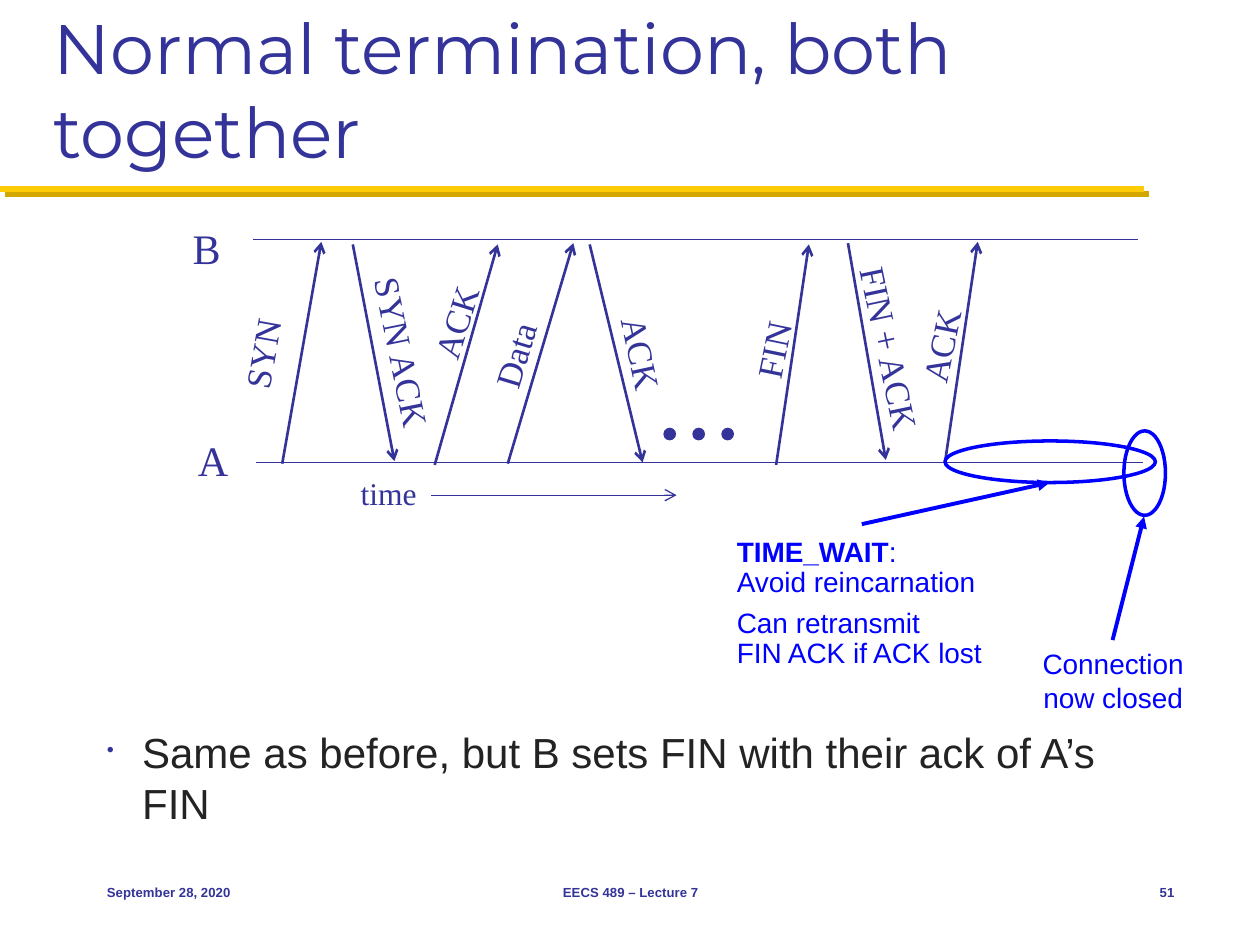
from dataclasses import dataclass
from lxml.etree import SubElement
from pptx import Presentation
from pptx.dml.color import RGBColor
from pptx.enum.shapes import MSO_CONNECTOR, MSO_SHAPE
from pptx.enum.text import MSO_ANCHOR, PP_ALIGN
from pptx.oxml.ns import qn
from pptx.util import Inches, Pt


@dataclass(frozen=True)
class Theme:
    navy: str = "333399"
    blue: str = "0000FF"
    ink: str = "232323"
    gold: str = "FFCB05"
    dark_gold: str = "D3A600"
    heading: str = "Montserrat"
    sans: str = "Arial"
    serif: str = "Times New Roman"
    title: float = 40
    body: float = 24
    message: float = 20
    time: float = 18
    note: float = 16
    footer: float = 7.5


class Diagram:
    def __init__(self, slide, theme):
        self.slide = slide
        self.theme = theme

    def text(self, box, paragraphs, size, font=None, color=None, align=PP_ALIGN.LEFT,
             anchor=MSO_ANCHOR.MIDDLE, wrap=False, angle=0, bold=False, before=0):
        label = self.slide.shapes.add_textbox(*map(Inches, box))
        label.rotation = angle
        frame = label.text_frame
        frame.word_wrap = wrap
        frame.vertical_anchor = anchor
        for index, content in enumerate(paragraphs):
            paragraph = frame.add_paragraph() if index else frame.paragraphs[0]
            paragraph.text = content
            paragraph.alignment = align
            paragraph.space_before = Pt(before)
            paragraph.font.name = font or self.theme.sans
            paragraph.font.size = Pt(size)
            paragraph.font.bold = bold
            paragraph.font.color.rgb = RGBColor.from_string(color or self.theme.navy)
        return frame.paragraphs

    def bullet(self, paragraph, indent, color):
        properties = paragraph._p.get_or_add_pPr()
        properties.set("marL", str(Inches(indent)))
        properties.set("indent", str(-Inches(indent)))
        mark_color = SubElement(properties, qn("a:buClr"))
        SubElement(mark_color, qn("a:srgbClr"), val=color)
        SubElement(properties, qn("a:buSzPct"), val="50000")
        SubElement(properties, qn("a:buChar"), char="•")
        defaults = properties.find(qn("a:defRPr"))
        if defaults is not None:
            properties.append(defaults)

    def line(self, start, end, color, width, head=None, shadow=None):
        stroke = self.slide.shapes.add_connector(
            MSO_CONNECTOR.STRAIGHT, *map(Inches, start + end))
        stroke.line.color.rgb = RGBColor.from_string(color)
        stroke.line.width = Pt(width)
        if head:
            SubElement(stroke.line._get_or_add_ln(), qn("a:tailEnd"), type=head)
        effects = SubElement(stroke._element.spPr, qn("a:effectLst"))
        if shadow:
            cast = SubElement(effects, qn("a:outerShdw"), dist=str(Pt(4.2)),
                              dir="2700000", algn="ctr", rotWithShape="0")
            SubElement(cast, qn("a:srgbClr"), val=shadow)

    def ellipse(self, box, color, width, filled=False):
        oval = self.slide.shapes.add_shape(MSO_SHAPE.OVAL, *map(Inches, box))
        oval.shadow.inherit = False
        oval.line.color.rgb = RGBColor.from_string(color)
        oval.line.width = Pt(width)
        if filled:
            oval.fill.solid()
            oval.fill.fore_color.rgb = RGBColor.from_string(color)
        else:
            oval.fill.background()

    def message(self, name, start, end, corner, width, angle):
        self.line(start, end, self.theme.navy, 1.5, "arrow")
        self.text((*corner, width, 0.43), [name], self.theme.message, self.theme.serif,
                  align=PP_ALIGN.CENTER, angle=angle)


presentation = Presentation()
presentation.slide_width = Inches(10)
presentation.slide_height = Inches(7.5)
theme = Theme()
diagram = Diagram(presentation.slides.add_slide(presentation.slide_layouts[6]), theme)

diagram.line((0, 1.5), (9.08, 1.5), theme.gold, 3.5, shadow=theme.dark_gold)
diagram.text((0.33, 0.17, 9.33, 1.25), ["Normal termination, both together"], theme.title,
             theme.heading, anchor=MSO_ANCHOR.BOTTOM, wrap=True)
summary = diagram.text(
    (0.75, 5.72, 8.67, 0.86),
    ["Same as before, but B sets FIN with their ack of A’s FIN"],
    theme.body, color=theme.ink, anchor=MSO_ANCHOR.TOP, wrap=True, before=4.8)
diagram.bullet(summary[0], 0.28, theme.navy)

messages = [
    ("SYN", (2.24, 3.68), (2.55, 1.92), (1.7, 2.59), 0.76, 280.1),
    ("SYN ACK", (2.8, 1.94), (3.13, 3.66), (2.49, 2.58), 1.41, 78.5),
    ("ACK", (3.45, 3.69), (3.95, 1.94), (3.22, 2.34), 0.79, 287.4),
    ("Data", (4.03, 3.68), (4.55, 1.93), (3.72, 2.6), 0.73, 286.7),
    ("ACK", (4.68, 1.94), (5.1, 3.67), (4.7, 2.59), 0.79, 77.9),
    ("FIN", (6.16, 3.69), (6.42, 1.94), (5.81, 2.56), 0.65, 281.6),
    ("FIN + ACK", (6.73, 1.93), (7.03, 3.65), (6.3, 2.55), 1.53, 78.1),
    ("ACK", (7.5, 3.67), (7.76, 1.92), (7.07, 2.53), 0.79, 281.6),
]
for message in messages:
    diagram.message(*message)

diagram.line((2.01, 1.9), (9.03, 1.9), theme.navy, 0.75)
diagram.line((2.03, 3.67), (9.07, 3.67), theme.navy, 0.75)
diagram.line((3.42, 3.93), (5.37, 3.93), theme.navy, 0.75, "arrow")
for name, box, size in [
    ("B", (1.43, 1.72, 0.42, 0.5), theme.body),
    ("A", (1.47, 3.4, 0.44, 0.5), theme.body),
    ("time", (2.76, 3.71, 0.65, 0.4), theme.time),
]:
    diagram.text(box, [name], size, theme.serif, align=PP_ALIGN.CENTER)

for step in range(3):
    diagram.ellipse((5.27 + 0.23 * step, 3.4, 0.09, 0.09), theme.navy, 0.75, filled=True)

for pointer_start, pointer_end, highlight in [
    ((8.83, 5.08), (9.08, 4.1), (8.92, 3.42, 0.33, 0.67)),
    ((6.84, 4.16), (8.33, 3.83), (7.5, 3.5, 1.67, 0.33)),
]:
    diagram.line(pointer_start, pointer_end, theme.blue, 2.25, "triangle")
    diagram.ellipse(highlight, theme.blue, 2)

diagram.text((8.17, 5.08, 1.33, 0.64), ["Connection\vnow closed"], theme.note,
             color=theme.blue, align=PP_ALIGN.CENTER, before=8)
state, reason, retransmit = diagram.text(
    (5.75, 4.16, 2.17, 1.24),
    ["TIME_WAIT", "Avoid reincarnation", "Can retransmit\vFIN ACK if ACK lost"],
    theme.note, color=theme.blue, before=8)
state.runs[0].font.bold = True
state.add_run().text = ":"
reason.line_spacing = 0.4
retransmit.line_spacing = 0.9

for content, left, width, align in [
    ("September 28, 2020", 0.75, 2.08, PP_ALIGN.LEFT),
    ("EECS 489 – Lecture 7", 3.42, 3.17, PP_ALIGN.CENTER),
    ("51", 8.75, 0.67, PP_ALIGN.RIGHT),
]:
    diagram.text((left, 6.83, width, 0.5), [content], theme.footer, align=align, bold=True)

presentation.save("out.pptx")
